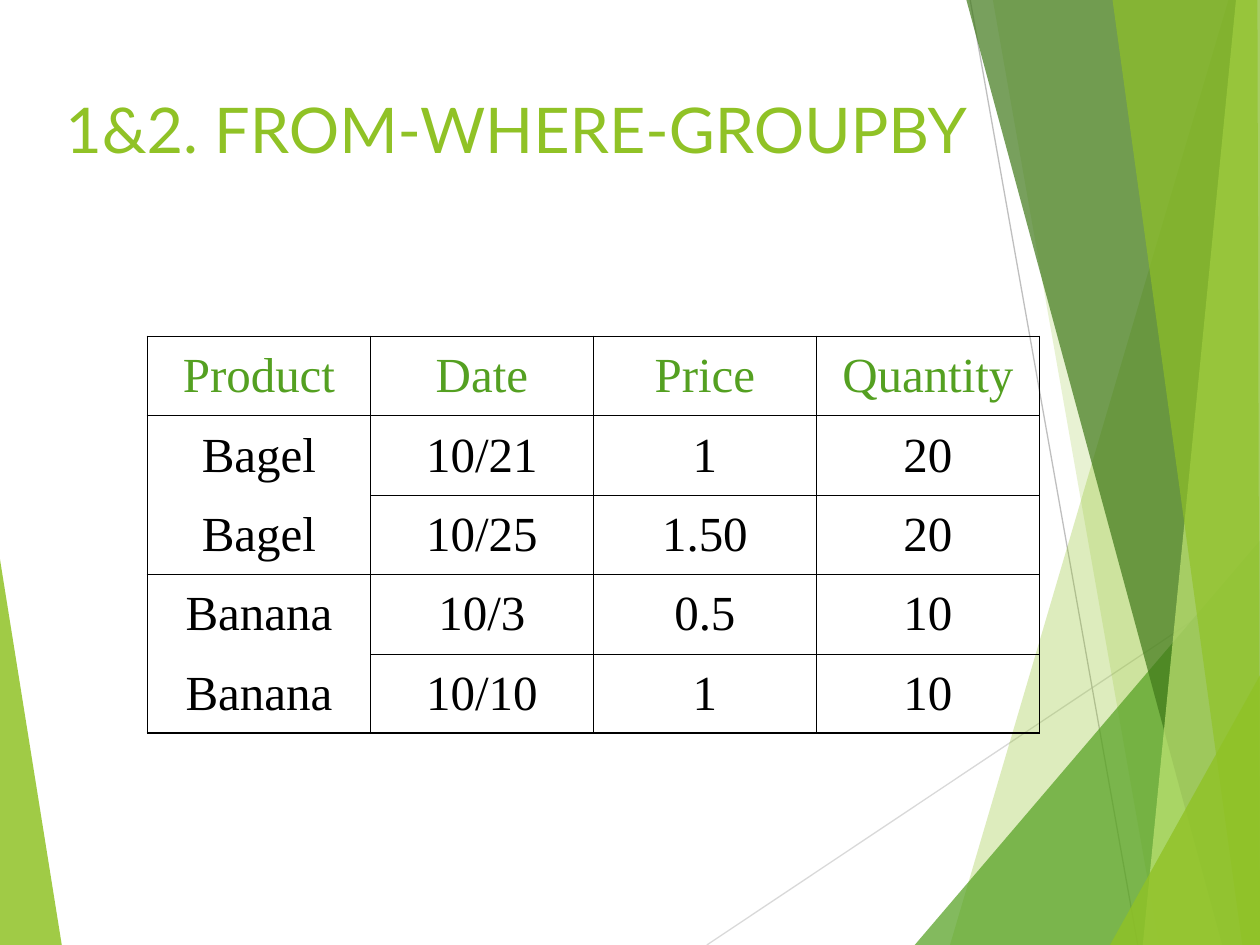
import pptx
import pptx.dml.color
import pptx.enum.shapes
import pptx.enum.text
import pptx.oxml.ns
import pptx.util
from lxml import etree
from pptx.util import Inches

WIDTH, HEIGHT = 10, 7.5
LIME, GREEN, DARK_GREEN, PALE_GREEN = "90C226", "54A021", "3F7819", "C0E474"
BLACK = "000000"
THIN, THICK = 0.45, 1.08

# Colour, opacity in percent, corner points in inches
FACETS = [
    (LIME, 85, [(0, 4.44), (0.49, HEIGHT), (0, HEIGHT)]),
    (LIME, 30, [(9.75, 0), (7.54, HEIGHT), (WIDTH, HEIGHT), (WIDTH, 0)]),
    (LIME, 20, [(7.88, 0), (9.2, HEIGHT), (WIDTH, HEIGHT), (WIDTH, 0)]),
    (GREEN, 72, [(7.26, HEIGHT), (WIDTH, 4.29), (WIDTH, HEIGHT)]),
    (DARK_GREEN, 70, [(7.67, 0), (9.7, HEIGHT), (WIDTH, HEIGHT), (WIDTH, 0)]),
    (PALE_GREEN, 70, [(9.81, 0), (9.07, HEIGHT), (WIDTH, HEIGHT), (WIDTH, 0)]),
    (LIME, 65, [(8.83, 0), (9.86, HEIGHT), (WIDTH, HEIGHT), (9.98, 0)]),
    (LIME, 80, [(8.81, HEIGHT), (WIDTH, 5.36), (WIDTH, HEIGHT)]),
]
SALES = [
    ["Product", "Date", "Price", "Quantity"],
    ["Bagel", "10/21", "1", "20"],
    ["Bagel", "10/25", "1.50", "20"],
    ["Banana", "10/3", "0.5", "10"],
    ["Banana", "10/10", "1", "10"],
]


def rgb(value):
    return pptx.dml.color.RGBColor.from_string(value)


def add_element(parent, tag, **attributes):
    return etree.SubElement(parent, pptx.oxml.ns.qn(tag), **attributes)


class SlideBuilder:
    title_font = "Lato"
    table_font = "Times New Roman"

    def __init__(self, slide):
        self.slide = slide

    def add_run(self, paragraph, text, font, size, color):
        run = paragraph.add_run()
        run.text = text
        run.font.name = font
        run.font.size = pptx.util.Pt(size)
        run.font.bold = False
        run.font.color.rgb = rgb(color)

    def facet(self, color, opacity, points):
        """Draw a translucent polygon without an outline."""
        start, *others = [(Inches(x), Inches(y)) for x, y in points]
        builder = self.slide.shapes.build_freeform(*start)
        builder.add_line_segments(others, close=True)
        shape = builder.convert_to_shape()
        shape.shadow.inherit = False
        shape.line.fill.background()
        shape.fill.solid()
        shape.fill.fore_color.rgb = rgb(color)
        color_element = shape.fill._xPr.find(".//" + pptx.oxml.ns.qn("a:srgbClr"))
        add_element(color_element, "a:alpha", val=str(opacity * 1000))

    def line(self, start, end, color):
        connector = self.slide.shapes.add_connector(
            pptx.enum.shapes.MSO_CONNECTOR.STRAIGHT,
            *(Inches(value) for value in start + end))
        connector.line.color.rgb = rgb(color)
        connector.line.width = pptx.util.Pt(0.75)
        add_element(connector._element.spPr, "a:effectLst")

    def title(self, text, left, top, width, height):
        box = self.slide.shapes.add_textbox(
            Inches(left), Inches(top), Inches(width), Inches(height))
        box.text_frame.word_wrap = True
        self.add_run(box.text_frame.paragraphs[0], text, self.title_font, 36, LIME)

    def borders(self, cell, widths):
        """Set left, right, top and bottom borders; a width of 0 hides one."""
        properties = cell._tc.get_or_add_tcPr()
        for index, (side, width) in enumerate(zip("LRTB", widths)):
            border = add_element(properties, f"a:ln{side}", w=str(pptx.util.Pt(width)))
            properties.insert(index, border)
            if width:
                fill = add_element(border, "a:solidFill")
                add_element(fill, "a:srgbClr", val=BLACK)
            else:
                add_element(border, "a:noFill")

    def table(self, rows, left, top, column_width, row_height):
        """Draw a grid whose equal neighbours in the first column share a group."""
        last_row, last_column = len(rows) - 1, len(rows[0]) - 1
        table = self.slide.shapes.add_table(
            len(rows), len(rows[0]), Inches(left), Inches(top),
            Inches(column_width * len(rows[0])), Inches(row_height * len(rows))).table
        table.first_row = table.horz_banding = False
        for column in table.columns:
            column.width = Inches(column_width)
        for r, values in enumerate(rows):
            table.rows[r].height = Inches(row_height)
            for c, text in enumerate(values):
                cell = table.cell(r, c)
                cell.fill.background()
                cell.vertical_anchor = pptx.enum.text.MSO_ANCHOR.MIDDLE
                paragraph = cell.text_frame.paragraphs[0]
                paragraph.alignment = pptx.enum.text.PP_ALIGN.CENTER
                self.add_run(paragraph, text, self.table_font, 28,
                             BLACK if r else GREEN)
                joins_above = c == 0 and r > 0 and rows[r - 1][0] == text
                joins_below = c == 0 and r < last_row and rows[r + 1][0] == text
                self.borders(cell, [
                    THICK if c == 0 else THIN,
                    THICK if c == last_column else THIN,
                    0 if joins_above else THICK if r == 0 else THIN,
                    0 if joins_below else THICK if r == last_row else THIN,
                ])


def main():
    presentation = pptx.Presentation()
    presentation.slide_width = Inches(WIDTH)
    presentation.slide_height = Inches(HEIGHT)
    builder = SlideBuilder(presentation.slides.add_slide(presentation.slide_layouts[6]))

    left_facet, *right_facets = FACETS
    builder.facet(*left_facet)
    builder.line((5.61, HEIGHT), (WIDTH, 4.57), "D9D9D9")
    builder.line((7.7, 0), (9.03, HEIGHT), "BFBFBF")
    for facet in right_facets:
        builder.facet(*facet)

    builder.title("1&2. FROM-WHERE-GROUPBY", 0.42, 0.67, 9, 1.25)
    builder.table(SALES, 1.17, 2.67, 1.77, 0.63)
    presentation.save("out.pptx")


if __name__ == "__main__":
    main()
